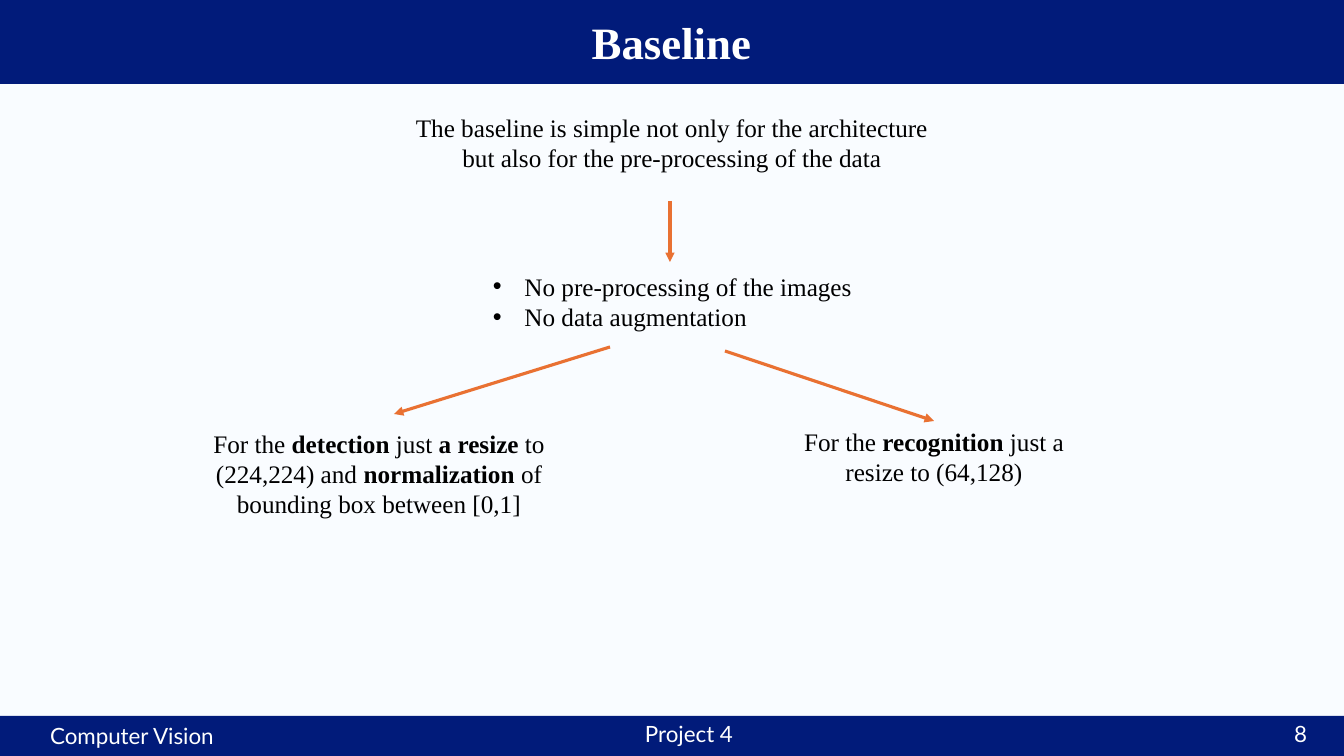
from lxml.etree import SubElement
from pptx import Presentation
from pptx.dml.color import RGBColor
from pptx.enum.shapes import MSO_CONNECTOR, MSO_SHAPE
from pptx.enum.text import MSO_ANCHOR as Anchor, PP_ALIGN as Align
from pptx.oxml.ns import qn
from pptx.util import Pt

SCALE = 914400 / 100.8
NAVY, ORANGE, WHITE, BLACK = "011B7A", "E97132", "FFFFFF", "000000"


def px(*lengths):
    return [round(length * SCALE) for length in lengths]


def add_text(text, box, size=18, font="Times New Roman", color=BLACK,
             align=Align.CENTER, anchor=Anchor.TOP, bullet=False):
    frame = slide.shapes.add_textbox(*px(*box)).text_frame
    frame.word_wrap = True
    frame.vertical_anchor = anchor
    for index, line in enumerate(text.split("\n")):
        paragraph = frame.paragraphs[0] if index == 0 else frame.add_paragraph()
        paragraph.alignment = align
        if bullet:
            properties = paragraph._p.get_or_add_pPr()
            properties.set("marL", "285750")
            properties.set("indent", "-285750")
            SubElement(properties, qn("a:buFont"), typeface="Arial")
            SubElement(properties, qn("a:buChar"), char="•")
        for position, part in enumerate(line.split("**")):
            run = paragraph.add_run()
            run.text = part
            run.font.name = font
            run.font.size = Pt(size)
            run.font.bold = position % 2 == 1
            run.font.color.rgb = RGBColor.from_string(color)


deck = Presentation()
deck.slide_width, deck.slide_height = px(1344, 756)
slide = deck.slides.add_slide(deck.slide_layouts[6])
slide.background.fill.solid()
slide.background.fill.fore_color.rgb = RGBColor.from_string("F9FCFF")

for top, height in [(0, 84), (716, 40)]:
    band = slide.shapes.add_shape(MSO_SHAPE.RECTANGLE, *px(0, top, 1344, height))
    band.shadow.inherit = False
    band.fill.solid()
    band.fill.fore_color.rgb = RGBColor.from_string(NAVY)
    band.line.fill.background()

for label, left, top, align in [("Computer Vision", -19, 716, Align.CENTER),
                                ("Project 4", 538, 714, Align.CENTER),
                                ("8", 1015, 714, Align.RIGHT)]:
    add_text(label, (left, top, 302, 40), size=16, font="Lato", color=WHITE,
             align=align, anchor=Anchor.MIDDLE)

add_text("**Baseline**", (503, 10, 337, 65), size=32, color=WHITE)
add_text("The baseline is simple not only for the architecture "
         "but also for the pre-processing of the data", (394, 107, 556, 72))
add_text("No pre-processing of the images\nNo data augmentation",
         (483, 266, 412, 72), align=Align.LEFT, bullet=True)
add_text("For the **detection** just **a resize **to (224,224) and "
         "**normalization** of bounding box between [0,1]", (198, 423, 362, 102))
add_text("For the **recognition** just a resize to (64,128)", (773, 421, 322, 72))

for ends in [(670, 201, 670, 262), (610, 347, 394, 414), (725, 351, 934, 421)]:
    arrow = slide.shapes.add_connector(MSO_CONNECTOR.STRAIGHT, *px(*ends))
    arrow.line.color.rgb = RGBColor.from_string(ORANGE)
    arrow.line.width = Pt(2.25)
    SubElement(arrow.line._get_or_add_ln(), qn("a:tailEnd"), type="triangle")
    SubElement(arrow._element.spPr, qn("a:effectLst"))

deck.save("out.pptx")
